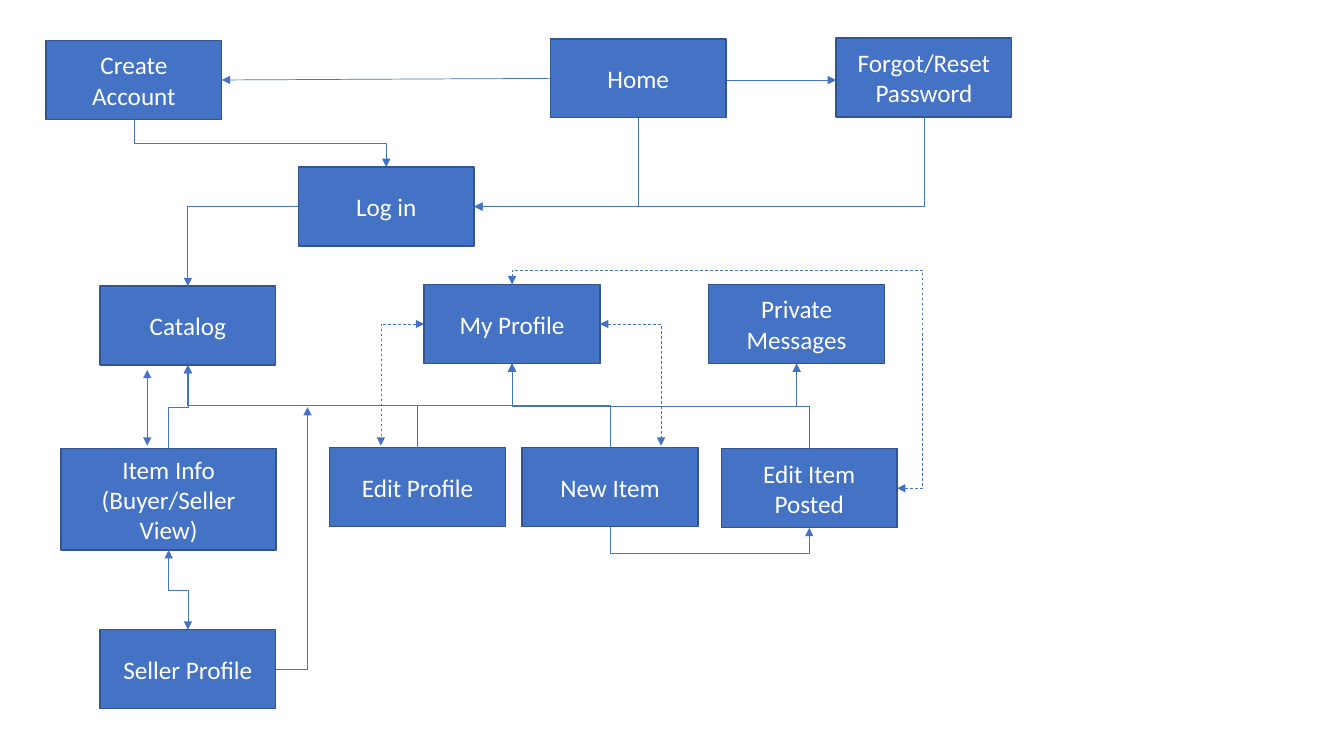
"""Build a site map slide of boxes joined by arrows."""
from lxml import etree
from pptx import Presentation
from pptx import util as u
from pptx.dml.color import RGBColor
from pptx.enum import dml, shapes, text
from pptx.oxml import ns

COLORS = {"box": "4472C4", "border": "325491", "text": "FFFFFF"}
BOX_SIZE = (4.43, 1.99)
BOXES = {
    "Home": (13.87, 0.98),
    "Create Account": (1.16, 1.02),
    "Catalog": (2.52, 7.21),
    "My Profile": (10.69, 7.17),
    "Private Messages": (17.86, 7.17),
    "Item Info (Buyer/Seller View)": (1.54, 11.31, 5.42, 2.55),
    "Seller Profile": (2.52, 15.87),
    "Edit Profile": (8.31, 11.28),
    "New Item": (13.16, 11.28),
    "Edit Item Posted": (18.18, 11.31),
    "Log in": (7.52, 4.21),
    "Forgot/Reset Password": (21.07, 0.96),
}
ITEM_INFO = "Item Info (Buyer/Seller View)"
TOP, LEFT, BOTTOM, RIGHT = range(4)
STRAIGHT_LINES = [
    (("Home", LEFT), ("Create Account", RIGHT), "tail"),
    ((18.31, 2.02), (21.07, 2.02), "tail"),
    ((3.71, 11.23), (3.71, 9.32), "both"),
]
ELBOWS = [
    (("Log in", LEFT), ("Catalog", TOP), (), "tail", False),
    (("Edit Profile", TOP), ("My Profile", BOTTOM), (10.22,), "tail", False),
    (("New Item", TOP), ("My Profile", BOTTOM), (10.22,), "none", False),
    ((ITEM_INFO, TOP), ("Catalog", BOTTOM), (10.26,), "tail", False),
    ((ITEM_INFO, BOTTOM), ("Seller Profile", TOP), (14.87,), "both", False),
    (("Edit Item Posted", TOP), ("My Profile", BOTTOM), (10.24,), "tail", False),
    (("New Item", BOTTOM), ("Edit Item Posted", BOTTOM), (13.94,), "tail", False),
    (("Create Account", BOTTOM), ("Log in", TOP), (3.61,), "tail", False),
    (("Catalog", BOTTOM), ("My Profile", BOTTOM), (10.22,), "both", False),
    (("Edit Item Posted", TOP), ("Private Messages", BOTTOM), (10.24,), "tail", False),
    (("My Profile", LEFT), (9.6, 11.23), (), "both", True),
    (("My Profile", RIGHT), (16.66, 11.23), (), "both", True),
    (("Edit Item Posted", RIGHT), ("My Profile", TOP), (23.24, 6.8), "both", True),
    (("Seller Profile", RIGHT), (7.75, 10.26), (), "tail", False),
    (("Home", BOTTOM), ("Log in", RIGHT), (), "tail", False),
    (("Forgot/Reset Password", BOTTOM), ("Log in", RIGHT), (), "tail", False),
]


def color(name):
    """Return the named colour."""
    return RGBColor.from_string(COLORS[name])


def write_text(shape, content, *, size=18, font="Calibri", fill="text"):
    """Write centred text into a shape."""
    frame = shape.text_frame
    frame.word_wrap = True
    frame.vertical_anchor = text.MSO_ANCHOR.MIDDLE
    paragraph = frame.paragraphs[0]
    paragraph.alignment = text.PP_ALIGN.CENTER
    run = paragraph.add_run()
    run.text = content
    run.font.size = u.Pt(size)
    run.font.name = font
    run.font.color.rgb = color(fill)


def add_box(slide, label, left, top, width=BOX_SIZE[0], height=BOX_SIZE[1]):
    """Add a labelled rectangle."""
    lengths = [u.Cm(value) for value in (left, top, width, height)]
    shape = slide.shapes.add_shape(shapes.MSO_SHAPE.RECTANGLE, *lengths)
    shape.shadow.inherit = False
    shape.fill.solid()
    shape.fill.fore_color.rgb = color("box")
    shape.line.color.rgb = color("border")
    shape.line.width = u.Pt(1)
    write_text(shape, label)
    return shape


def find_point(place, boxes):
    """Return the point of a box side, or of a free end in centimetres."""
    if place[0] not in boxes:
        return u.Cm(place[0]), u.Cm(place[1])
    box, side = boxes[place[0]], place[1]
    across = {LEFT: 0, RIGHT: box.width}.get(side, box.width // 2)
    down = {TOP: 0, BOTTOM: box.height}.get(side, box.height // 2)
    return box.left + across, box.top + down


def add_line(slide, boxes, start, end, arrows, dashed=False, kind=shapes.MSO_CONNECTOR.STRAIGHT):
    """Add a connector, joined to the boxes it touches."""
    connector = slide.shapes.add_connector(kind, *find_point(start, boxes), *find_point(end, boxes))
    if start[0] in boxes:
        connector.begin_connect(boxes[start[0]], start[1])
    if end[0] in boxes:
        connector.end_connect(boxes[end[0]], end[1])
    connector.line.color.rgb = color("box")
    connector.line.width = u.Pt(0.5)
    if dashed:
        connector.line.dash_style = dml.MSO_LINE.DASH
    outline = connector.line._get_or_add_ln()
    if arrows == "both":
        etree.SubElement(outline, ns.qn("a:headEnd"), type="triangle")
    if arrows != "none":
        etree.SubElement(outline, ns.qn("a:tailEnd"), type="triangle")
    etree.SubElement(connector.element.spPr, ns.qn("a:effectLst"))
    return connector


def add_elbow(slide, boxes, start, end, bends, arrows, dashed):
    """Add a bent connector whose bends lie at the given positions."""
    connector = add_line(slide, boxes, start, end, arrows, dashed, shapes.MSO_CONNECTOR.ELBOW)
    first, last = find_point(start, boxes), find_point(end, boxes)
    across, down = last[0] - first[0], last[1] - first[1]
    frame = connector.element.spPr.find(ns.qn("a:xfrm"))
    upright = start[1] in (TOP, BOTTOM)
    if upright:
        connector.width, connector.height = abs(down), abs(across)
        connector.left = (first[0] + last[0] - abs(down)) // 2
        connector.top = (first[1] + last[1] - abs(across)) // 2
        quarter_turns = 3 if (across > 0) == (down > 0) else 1
        frame.set("rot", str(quarter_turns * 5400000))
    frame.set("flipH", str(int((across > 0) if upright else (across < 0))))
    frame.set("flipV", str(int(down < 0)))
    geometry = connector.element.spPr.find(ns.qn("a:prstGeom"))
    geometry.set("prst", f"bentConnector{len(bends) + 2}")
    guides = geometry.find(ns.qn("a:avLst"))
    for index, bend in enumerate(bends):
        axis = (index + upright) % 2
        ratio = (u.Cm(bend) - first[axis]) / (last[axis] - first[axis])
        name = f"adj{index + 1}"
        etree.SubElement(guides, ns.qn("a:gd"), name=name, fmla=f"val {round(ratio * 100000)}")


def main():
    """Build and save the slide."""
    presentation = Presentation()
    presentation.slide_width, presentation.slide_height = u.Cm(33.87), u.Cm(19.05)
    slide = presentation.slides.add_slide(presentation.slide_layouts[6])
    boxes = {label: add_box(slide, label, *place) for label, place in BOXES.items()}
    for line in STRAIGHT_LINES:
        add_line(slide, boxes, *line)
    for elbow in ELBOWS:
        add_elbow(slide, boxes, *elbow)
    presentation.save("out.pptx")


if __name__ == "__main__":
    main()
